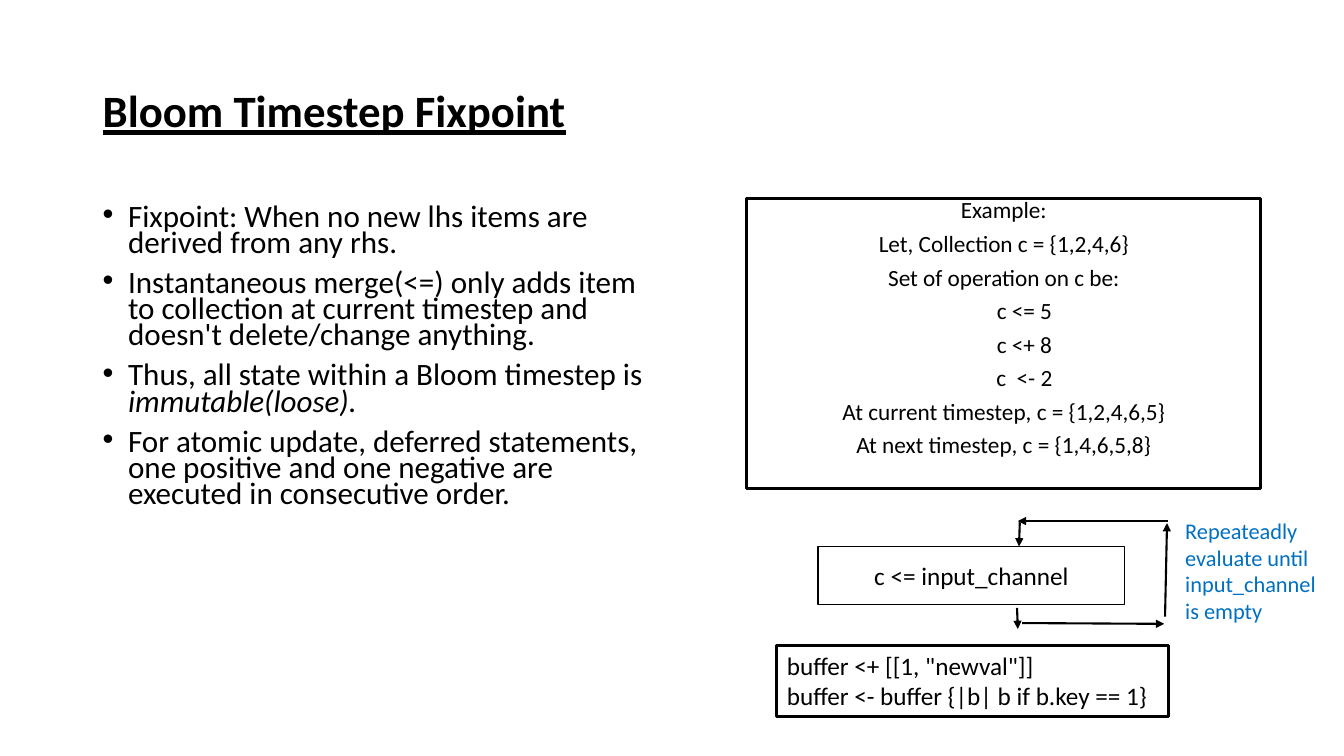
from pptx import Presentation
from pptx.dml.color import RGBColor
from pptx.enum.shapes import MSO_CONNECTOR, MSO_SHAPE
from pptx.enum.text import MSO_ANCHOR, PP_ALIGN
from pptx.oxml.ns import qn
from pptx.util import Cm, Pt
from lxml.etree import SubElement

BLACK = RGBColor(0, 0, 0)
BLUE = RGBColor(0x00, 0x70, 0xC0)


def write(frame, text, size=18, color=BLACK, bold=False, line=None,
          slant="", align=PP_ALIGN.LEFT, gap=0, bullet=False, indent=0):
    """Add one paragraph; the part named by slant follows in italics."""
    first = not frame.paragraphs[0].runs
    par = frame.paragraphs[0] if first else frame.add_paragraph()
    par.alignment = align
    par.space_before = Pt(0 if first else gap)
    if line:
        par.line_spacing = line
    props = par._p.get_or_add_pPr()
    if indent:
        props.set("marL", str(Cm(indent)))
    if bullet:
        props.set("indent", str(-Cm(indent)))
        SubElement(props, qn("a:buFont")).set("typeface", "Arial")
        SubElement(props, qn("a:buChar")).set("char", "•")
    for part, italic in ((text, False), (slant, True)):
        if part:
            run = par.add_run()
            run.text = part
            font = run.font
            font.name, font.size = "Calibri", Pt(size)
            font.bold, font.italic, font.underline = bold, italic, bold
            font.color.rgb = color


def frame_at(left, top, width, height, anchor=MSO_ANCHOR.TOP, border=0):
    """Place a text box, or a bordered rectangle, and return its frame."""
    place = Cm(left), Cm(top), Cm(width), Cm(height)
    if border:
        box = slide.shapes.add_shape(MSO_SHAPE.RECTANGLE, *place)
        box.shadow.inherit = False
        box.fill.background()
        box.line.color.rgb = BLACK
        box.line.width = Pt(border)
    else:
        box = slide.shapes.add_textbox(*place)
    frame = box.text_frame
    frame.word_wrap = True
    frame.vertical_anchor = anchor
    return frame


deck = Presentation()
deck.slide_width, deck.slide_height = Cm(33.87), Cm(19.05)
slide = deck.slides.add_slide(deck.slide_layouts[6])

# Title
title = frame_at(2.34, 1.02, 29.21, 3.68, MSO_ANCHOR.MIDDLE)
write(title, "Bloom Timestep Fixpoint", size=32, bold=True, line=0.9)

# Bullet points
points = frame_at(2.34, 5.08, 14.78, 12.42)
for text, slant in (
    ("Fixpoint: When no new lhs items are derived from any rhs.", ""),
    ("Instantaneous merge(<=) only adds item to collection at current "
     "timestep and doesn't delete/change anything.", ""),
    ("Thus, all state within a Bloom timestep is ", "immutable(loose)."),
    ("For atomic update, deferred statements, one positive and one negative "
     "are executed in consecutive order.", ""),
):
    write(points, text, slant=slant, size=22.2, line=0.7, gap=10,
          bullet=True, indent=0.64)

# Worked example
sample = frame_at(18.82, 5, 12.95, 7.32, border=2.25)
for text, indent in (
    ("Example:", 0),
    ("Let, Collection c = {1,2,4,6}", 0),
    ("Set of operation on c be:", 0),
    ("c <= 5", 1.04),
    ("c <+ 8", 1.04),
    ("c  <- 2", 1.04),
    ("At current timestep, c = {1,2,4,6,5}", 0),
    ("At next timestep, c = {1,4,6,5,8}", 0),
):
    write(sample, text, size=16.6, line=0.7, gap=10,
          align=PP_ALIGN.CENTER, indent=indent)

# Buffer and channel statements
buffer = frame_at(19.58, 16.26, 9.86, 1.8, border=2.25)
write(buffer, 'buffer <+ [[1, "newval"]]')
write(buffer, "buffer <- buffer {|b| b if b.key == 1}")
channel = frame_at(20.62, 13.77, 7.72, 1.47, MSO_ANCHOR.MIDDLE, border=1)
write(channel, "c <= input_channel", align=PP_ALIGN.CENTER)

# Loop arrows
for ends in (
    (25.63, 15.32, 25.65, 15.85),
    (25.76, 15.7, 29.34, 15.72),
    (29.44, 13.13, 25.65, 13.13),
    (29.36, 15.54, 29.41, 13.18),
    (25.7, 13.16, 25.68, 13.77),
):
    arrow = slide.shapes.add_connector(
        MSO_CONNECTOR.STRAIGHT, *(Cm(end) for end in ends))
    arrow.line.color.rgb = BLACK
    arrow.line.width = Pt(1.5)
    SubElement(arrow.line._get_or_add_ln(),
               qn("a:tailEnd")).set("type", "triangle")
    SubElement(arrow._element.spPr, qn("a:effectLst"))

# Loop note
note = frame_at(29.62, 12.9, 4.14, 3)
for text in ("Repeateadly evaluate until", "input_channel is empty"):
    write(note, text, size=16, color=BLUE)

deck.save("out.pptx")
